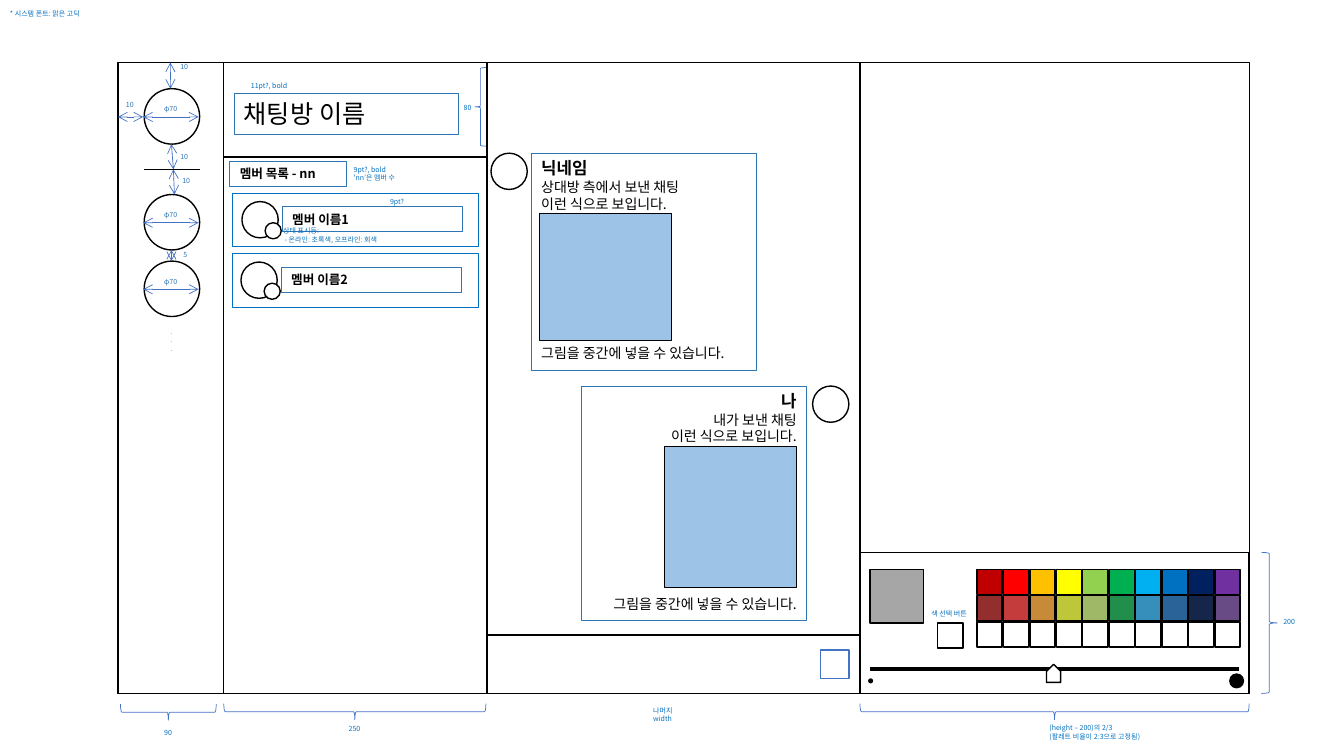
import pptx
import pptx.util
import pptx.dml.color
import pptx.enum.shapes
import pptx.enum.text
import pptx.oxml.ns
from lxml import etree

Inches, Pt = pptx.util.Inches, pptx.util.Pt
RGBColor = pptx.dml.color.RGBColor
Kind = pptx.enum.shapes.MSO_SHAPE
Anchor = pptx.enum.text.MSO_ANCHOR
Align = pptx.enum.text.PP_ALIGN
qn = pptx.oxml.ns.qn

FONT = "Noto Sans CJK KR"
BLACK = RGBColor(0, 0, 0)
WHITE = RGBColor(255, 255, 255)
GRAY = RGBColor(0xA6, 0xA6, 0xA6)
SKY = RGBColor(0x9D, 0xC3, 0xE6)
BLUE = RGBColor(0x00, 0x70, 0xC0)
STEEL = RGBColor(0x2E, 0x75, 0xB6)
GUIDE = RGBColor(0x44, 0x72, 0xC4)

# Content: notes are (left, top, width, height, lines)
SIZE_NOTES = [(1.15, 0.95, 0.28, 0.19, ["10"]), (1.69, 0.57, 0.28, 0.19, ["10"]),
              (1.69, 1.46, 0.28, 0.19, ["10"]), (1.72, 2.44, 0.24, 0.19, ["5"]),
              (1.71, 1.7, 0.28, 0.19, ["10"]), (1.59, 3.2, 0.22, 0.35, [".", ".", "."])]
HEADER_NOTES = [(4.5, 0.98, 0.28, 0.19, ["80"]), (2.39, 0.76, 0.56, 0.19, ["11pt?, bold"])]
LAYOUT_NOTES = [
    (0, 0.04, 0.98, 0.19, ["* 시스템 폰트: 맑은 고딕"]),
    (1.53, 7.18, 0.28, 0.19, ["90"]),
    (3.36, 7.14, 0.32, 0.19, ["250"]),
    (6.38, 6.96, 0.61, 0.27, ["나머지", "width"]),
    (10.31, 7.13, 1.18, 0.27, ["(height – 200)의 2/3", "(팔레트 비율이 2:3으로 고정됨)"]),
    (12.63, 6.08, 0.32, 0.19, ["200"]),
    (9.14, 6, 0.6, 0.19, ["색 선택 버튼"]),
    (3.41, 1.59, 0.64, 0.27, ["9pt?, bold", "'nn’은 멤버 수"]),
    (3.77, 1.91, 0.34, 0.19, ["9pt?"]),
    (2.71, 2.2, 1.27, 0.27, ["상태 표시등:", " - 온라인: 초록색, 오프라인: 회색"]),
]
ROOM_TOPS = [0.88, 1.93, 2.59]
GAP_ARROWS = [(1.17, 1.16, 1.42, 1.16), (1.69, 0.88, 1.69, 0.62), (1.72, 1.68, 1.7, 1.43),
              (1.7, 2.59, 1.7, 2.48), (1.73, 1.93, 1.72, 1.68)]
MEMBERS = [(2.4, 1.92, "멤버 이름1"), (2.39, 2.52, "멤버 이름2")]
# Messages: text box, avatar left, drawing box, alignment, gap for the drawing, lines
MESSAGES = [
    ((5.27, 1.52, 2.23, 2.15), 4.87, (5.35, 2.12, 1.31, 1.26), Align.LEFT, 95,
     ["닉네임", "상대방 측에서 보낸 채팅", "이런 식으로 보입니다.", "그림을 중간에 넣을 수 있습니다."]),
    ((5.77, 3.83, 2.23, 2.32), 8.06, (6.59, 4.43, 1.31, 1.4), Align.RIGHT, 108,
     ["나", "내가 보낸 채팅", "이런 식으로 보입니다.", "그림을 중간에 넣을 수 있습니다."]),
]
PALETTE = [
    "C00000 FF0000 FFC000 FFFF00 92D050 00B050 00B0F0 0070C0 002060 7030A0".split(),
    "922E2E C43C3C C78A39 BDC739 9FB868 218F4B 368EBA 296397 16264A 684B85".split(),
    ["FFFFFF"] * 10,
]

deck = pptx.Presentation()
deck.slide_width, deck.slide_height = Inches(13.33), Inches(7.5)
slide = deck.slides.add_slide(deck.slide_layouts[6])


def shape(kind, box, fill=WHITE, line=BLACK, width=1, rotation=0):
    part = slide.shapes.add_shape(kind, *map(Inches, box))
    part.shadow.inherit = False
    part.rotation = rotation
    if fill is None:
        part.fill.background()
    else:
        part.fill.solid()
        part.fill.fore_color.rgb = fill
    if line is None:
        part.line.fill.background()
    else:
        part.line.color.rgb = line
        part.line.width = Pt(width)
    return part


def write(part, lines, size, color, bold=False, align=Align.LEFT):
    frame = part.text_frame
    frame.text = "\n".join(lines)
    for paragraph in frame.paragraphs:
        paragraph.alignment = align
        style(paragraph, size, color, bold)
    return frame


def style(paragraph, size, color, bold):
    paragraph.line_spacing = Pt(size * 1.2)
    run = paragraph.runs[0]
    for name, value in {"name": FONT, "size": Pt(size), "bold": bold}.items():
        setattr(run.font, name, value)
    run.font.color.rgb = color
    latin = run.font._element.find(qn("a:latin"))
    east = etree.Element(qn("a:ea"), typeface=FONT)
    latin.addnext(east)


def note(left, top, width, height, lines, color=BLUE):
    box = slide.shapes.add_textbox(*map(Inches, (left, top, width, height)))
    frame = write(box, lines, 5, color)
    frame.word_wrap = False
    frame.auto_size = pptx.enum.text.MSO_AUTO_SIZE.SHAPE_TO_FIT_TEXT


def label(box, text, size, bold):
    part = shape(Kind.RECTANGLE, box, None, STEEL, 0.5)
    write(part, [text], size, BLACK, bold).vertical_anchor = Anchor.MIDDLE


def rule(ends, color=BLACK, width=0.5, arrows=False):
    line = slide.shapes.add_connector(pptx.enum.shapes.MSO_CONNECTOR.STRAIGHT, *map(Inches, ends))
    line.line.color.rgb = color
    line.line.width = Pt(width)
    if arrows:
        stroke = line.line._get_or_add_ln()
        for end in ("a:headEnd", "a:tailEnd"):
            etree.SubElement(stroke, qn(end), type="arrow")
    etree.SubElement(line._element.spPr, qn("a:effectLst"))


def brace(box, rotation=0, kind=Kind.LEFT_BRACE):
    return shape(kind, box, None, GUIDE, 0.5, rotation)


# Window and room list
shape(Kind.RECTANGLE, (1.17, 0.62, 11.22, 6.26))
shape(Kind.RECTANGLE, (1.17, 0.62, 1.06, 6.26))
for top in ROOM_TOPS:
    shape(Kind.OVAL, (1.43, top, 0.55, 0.55))
    rule((1.42, top + 0.28, 1.97, top + 0.28), GUIDE, arrows=True)
    note(1.53, top + 0.11, 0.33, 0.19, ["φ70"], STEEL)
for ends in GAP_ARROWS:
    rule(ends, GUIDE, arrows=True)
rule((1.43, 1.68, 1.98, 1.68))
for size_note in SIZE_NOTES:
    note(*size_note, STEEL)

# Member panel and its header
shape(Kind.RECTANGLE, (2.22, 0.62, 2.64, 6.26))
shape(Kind.RECTANGLE, (2.22, 0.62, 2.64, 0.94))
label((2.32, 0.93, 2.23, 0.4), "채팅방 이름", 18, False)
for header_note in HEADER_NOTES:
    note(*header_note)
brace((4.71, 0.67, 0.11, 0.78))
label((2.28, 1.6, 1.16, 0.25), "멤버 목록 - nn", 9, True)
for left, top, member in MEMBERS:
    shape(Kind.RECTANGLE, (2.31, top, 2.44, 0.53), line=BLUE, width=0.75)
    shape(Kind.OVAL, (left, top + 0.08, 0.36, 0.36))
    label((left + 0.4, top + 0.13, 1.79, 0.25), member, 9, True)
    shape(Kind.OVAL, (left + 0.23, top + 0.29, 0.16, 0.16))

# Chat panel
shape(Kind.RECTANGLE, (4.83, 0.62, 3.7, 6.26))
for box, avatar_left, drawing, align, gap, lines in MESSAGES:
    message = shape(Kind.RECTANGLE, box, None, STEEL, 0.5)
    frame = write(message, lines, 10, BLACK, align=align)
    frame.vertical_anchor = Anchor.TOP
    frame.paragraphs[0].runs[0].font.size = Pt(12)
    frame.paragraphs[0].runs[0].font.bold = True
    frame.paragraphs[0].line_spacing = Pt(14.4)
    frame.paragraphs[-1].space_before = Pt(gap)
    shape(Kind.OVAL, (avatar_left, box[1], 0.36, 0.36))
    shape(Kind.RECTANGLE, drawing, SKY)
shape(Kind.RECTANGLE, (4.83, 6.3, 3.7, 0.58))
shape(Kind.RECTANGLE, (8.14, 6.45, 0.28, 0.28), line=GUIDE)

# Drawing tools: colours and pen width slider
shape(Kind.RECTANGLE, (8.53, 5.48, 3.86, 1.4))
for row, colors in enumerate(PALETTE):
    for column, color in enumerate(colors):
        swatch = (9.69 + column * 2.36 / 9, 5.65 + row * 0.26, 0.25, 0.25)
        shape(Kind.RECTANGLE, swatch, RGBColor.from_string(color))
shape(Kind.RECTANGLE, (8.63, 5.65, 0.53, 0.53), GRAY)
shape(Kind.RECTANGLE, (9.3, 6.18, 0.25, 0.25))
rule((8.63, 6.64, 12.29, 6.64), width=3)
shape(Kind.PENTAGON, (10.36, 6.61, 0.18, 0.14), rotation=270)
shape(Kind.OVAL, (8.61, 6.73, 0.05, 0.05), BLACK, None)
shape(Kind.OVAL, (12.19, 6.68, 0.15, 0.15), BLACK, None)

# Panel measures
for left, top, length in [(1.59, 6.59, 0.95), (3.44, 5.76, 2.6), (10.38, 5.13, 3.86)]:
    brace((left, top, 0.16, length), 270)
brace((12.51, 5.48, 0.16, 1.4), kind=Kind.RIGHT_BRACE)
for layout_note in LAYOUT_NOTES:
    note(*layout_note)

deck.save("out.pptx")
